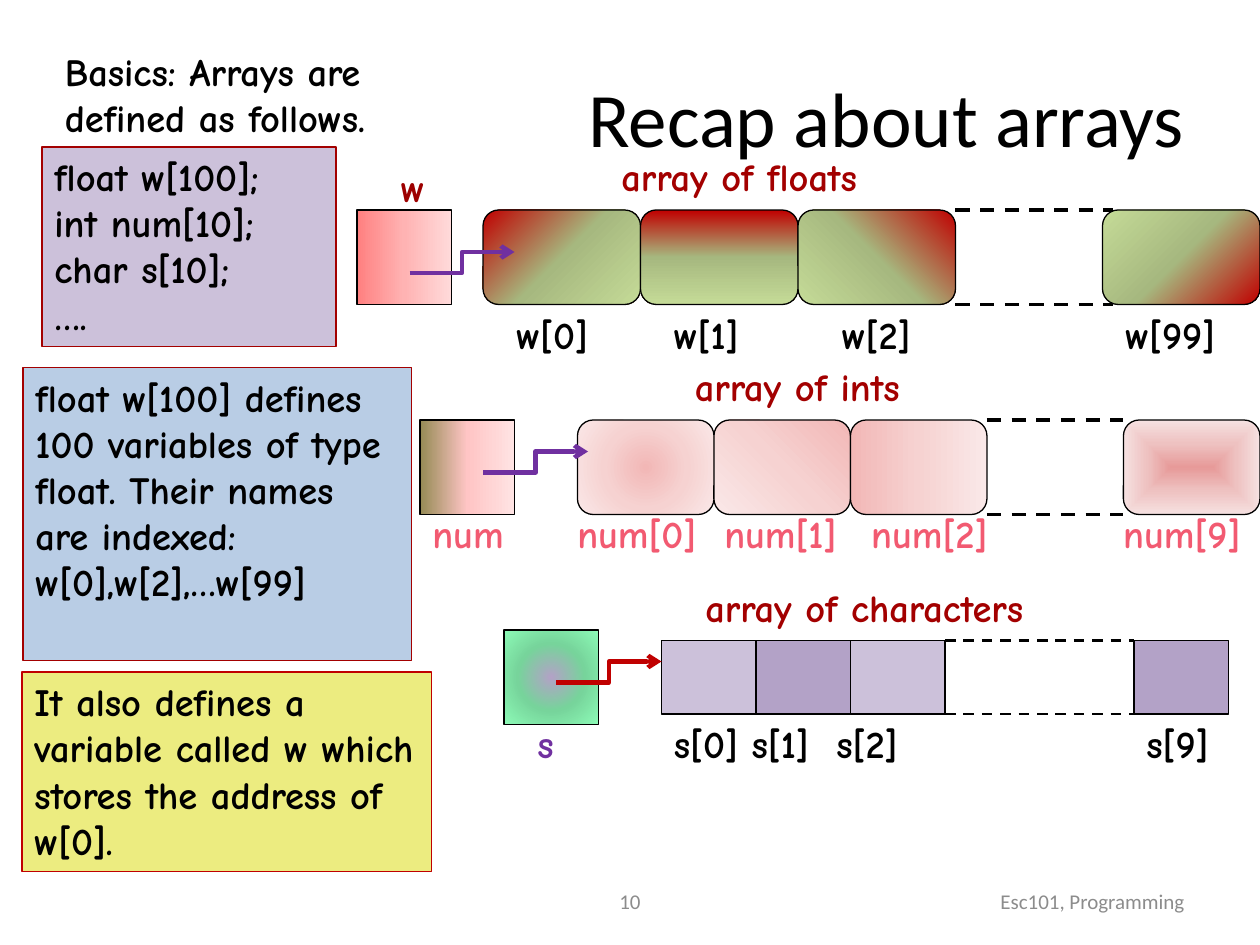
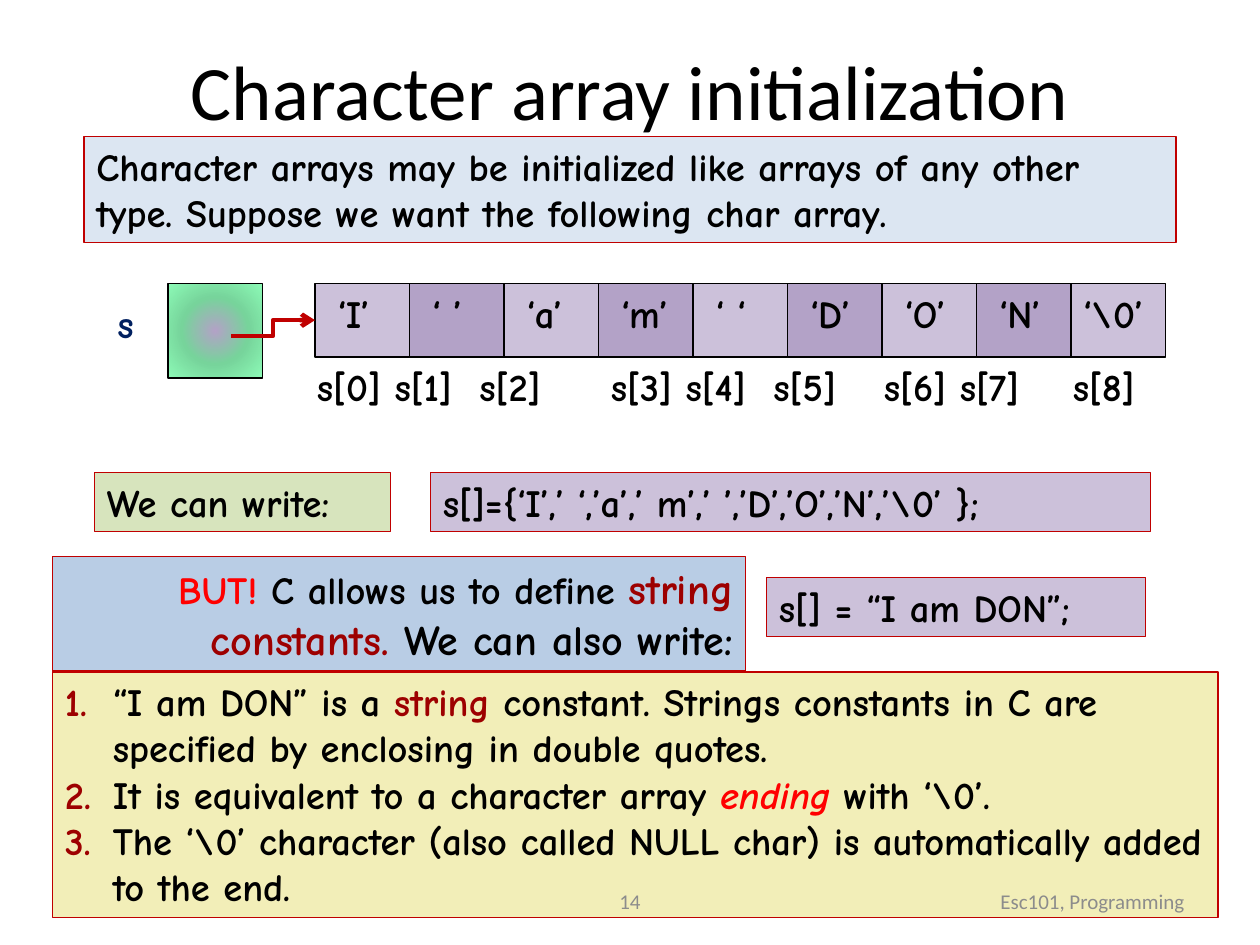
from dataclasses import dataclass

from lxml.etree import SubElement
from pptx import Presentation
from pptx.dml.color import RGBColor
from pptx.enum.dml import MSO_LINE
from pptx.enum.shapes import MSO_CONNECTOR, MSO_SHAPE
from pptx.enum.text import MSO_ANCHOR, MSO_AUTO_SIZE, PP_ALIGN
from pptx.oxml.ns import qn
from pptx.util import Inches, Pt


@dataclass(frozen=True)
class Theme:
    """Colours, fonts and type sizes shared by the slides."""
    black: str = "000000"
    gray: str = "8C8C8C"
    wine: str = "A30000"
    maroon: str = "9D0000"
    crimson: str = "C00000"
    red: str = "FF0000"
    purple: str = "7030A0"
    navy: str = "002060"
    rose: str = "F25A71"
    lilac: str = "CCC1DA"
    mauve: str = "B3A2C7"
    blue: str = "B9CDE5"
    pale: str = "DCE6F2"
    lime: str = "D7E4BD"
    yellow: str = "ECEC80"
    cream: str = "F2EEB8"
    olive: tuple = ("C00000", "A6B87F", "C5DB97")
    blush: tuple = ("F2B7B6", "F6D2D1", "FAE8E8")
    coral: tuple = ("E79A99", "EEC2C1", "F6E1E1")
    pink: tuple = ("FF8080", "FFB3B3", "FFDADA")
    khaki: tuple = ("948A54", "FFC5C5", "FFE3E3")
    mint: tuple = ("B3A2C7", "77D49B", "8DFBB7")
    head: str = "Calibri"
    body: str = "Comic Neue"
    title: int = 44
    large: int = 24
    text: int = 22
    foot: int = 12


T = Theme()
WIDTH, HEIGHT = Inches(10), Inches(7.5)
COLS = 120
LINE = 5.64
BOX = 9
CENTER = (50, 50, 50, 50)
CORNER = (100, 100, 0, 0)


def grid(*cells):
    """Turn grid columns or rows into slide lengths."""
    return [round(WIDTH * n / COLS) for n in cells]


def rgb(ink):
    """Make a colour from its hex form."""
    return RGBColor.from_string(ink)


def node(parent, tag, **attrs):
    """Add one XML child with attributes."""
    return SubElement(parent, qn(tag), {k: str(v) for k, v in attrs.items()})


def blend(shape, inks, turn=None, focus=None, path="circle"):
    """Fill a shape with a linear (turn) or path (focus) gradient."""
    shape.fill.background()
    props = shape.fill._xPr
    fill = node(props, "a:gradFill", rotWithShape=1)
    stops = node(fill, "a:gsLst")
    for i, ink in enumerate(inks):
        node(node(stops, "a:gs", pos=i * 50000), "a:srgbClr", val=ink)
    if focus:
        sides = dict(zip("ltrb", (n * 1000 for n in focus)))
        node(node(fill, "a:path", path=path), "a:fillToRect", **sides)
    else:
        node(fill, "a:lin", ang=turn * 60000, scaled=0)
    props.replace(props.find(qn("a:noFill")), fill)


def block(page, box, fill, edge=T.black, kind=MSO_SHAPE.RECTANGLE):
    """Draw an outlined shape; fill is a colour or gradient settings."""
    shape = page.shapes.add_shape(kind, *grid(*box))
    shape.shadow.inherit = False
    shape.line.color.rgb = rgb(edge)
    shape.line.width = Pt(0.75)
    if isinstance(fill, dict):
        blend(shape, **fill)
    else:
        shape.fill.solid()
        shape.fill.fore_color.rgb = rgb(fill)
    return shape


def number(para):
    """Give a paragraph a coloured automatic number."""
    props = para._p.get_or_add_pPr()
    props.set("marL", str(Inches(0.38)))
    props.set("indent", str(-Inches(0.38)))
    node(node(props, "a:buClr"), "a:srgbClr", val=T.maroon)
    node(props, "a:buFont", typeface="+mj-lt")
    node(props, "a:buAutoNum", type="arabicPeriod")


def write(frame, paras, ink=T.black, face=T.body, size=T.text,
          align=PP_ALIGN.LEFT, listed=False, tab=None):
    """Write paragraphs, each a string or a list of (text, changes)."""
    for i, parts in enumerate(paras):
        para = frame.paragraphs[0] if i == 0 else frame.add_paragraph()
        para.alignment = align
        if listed:
            number(para)
        if tab:
            stops = node(para._p.get_or_add_pPr(), "a:tabLst")
            node(stops, "a:tab", pos=Inches(tab), algn="l")
        font = para.font
        font.name, font.size, font.bold = face, Pt(size), face == T.body
        font.color.rgb = rgb(ink)
        for text, changes in [(parts, {})] if isinstance(parts, str) else parts:
            run = para.add_run()
            run.text = text
            if "ink" in changes:
                run.font.color.rgb = rgb(changes["ink"])
            if "size" in changes:
                run.font.size = Pt(changes["size"])
            if "italic" in changes:
                run.font.italic = changes["italic"]


def panel(page, box, fill, paras, edge=T.crimson, **style):
    """Draw a filled box of text."""
    frame = block(page, box, fill, edge).text_frame
    frame.word_wrap = True
    frame.vertical_anchor = MSO_ANCHOR.TOP
    write(frame, paras, **style)


def plain(page, box, paras, anchor=MSO_ANCHOR.MIDDLE, **style):
    """Place wrapped text without a fill."""
    frame = page.shapes.add_textbox(*grid(*box)).text_frame
    frame.word_wrap = True
    frame.vertical_anchor = anchor
    write(frame, paras, **style)


def label(page, x, y, wide, text, ink=T.black, tab=None):
    """Place a one-line label that fits its text."""
    frame = page.shapes.add_textbox(*grid(x, y, wide, LINE)).text_frame
    frame.word_wrap = False
    frame.auto_size = MSO_AUTO_SIZE.SHAPE_TO_FIT_TEXT
    write(frame, [text], ink, tab=tab)


def line(page, ends, ink, width, kind=MSO_CONNECTOR.STRAIGHT):
    """Draw a connector without a shadow."""
    link = page.shapes.add_connector(kind, *grid(*ends))
    link.line.color.rgb = rgb(ink)
    link.line.width = Pt(width)
    node(link._element.spPr, "a:effectLst")
    return link


def pointer(page, x, y, fill, start, move, ink):
    """Draw a variable's square and the bent arrow leaving it."""
    block(page, (x, y, BOX, BOX), fill)
    left, top = x + start[0], y + start[1]
    ends = (left, top, left + move[0], top + move[1])
    arrow = line(page, ends, ink, 2.5, MSO_CONNECTOR.ELBOW)
    node(arrow.line._get_or_add_ln(), "a:tailEnd", type="arrow")


def array(page, box, fills, gap=0, over=0, width=2, kind=MSO_SHAPE.RECTANGLE):
    """Draw touching cells, the last set apart by a dashed gap."""
    x, y, wide, high = box
    last = len(fills) - 1
    for i, fill in enumerate(fills):
        left = x + i * wide + (gap if i == last else 0)
        block(page, (left, y, wide, high), fill, kind=kind)
    if gap:
        start = x + last * wide
        for level in (y, y + high):
            ends = (start, level, start + gap + over, level)
            line(page, ends, T.black, width).line.dash_style = MSO_LINE.DASH


def floats(page, x, y):
    """Draw the float array w."""
    fills = [dict(inks=T.olive, turn=turn) for turn in (45, 90, 135)]
    fills.append(dict(inks=T.olive, focus=CORNER))
    array(page, (x + 12, y, 15, 9), fills, 14, 1,
          kind=MSO_SHAPE.ROUNDED_RECTANGLE)
    pointer(page, x, y, dict(inks=T.pink, turn=0), (5, 6), (10, -2), T.purple)
    label(page, x + 3, y - 5, 4.9, "w", T.maroon)
    label(page, x + 24, y - 6, 29.6, "array of floats", T.wine)
    for left, index, wide in ((14, 0, 10), (29, 1, 10), (45, 2, 10), (72, 99, 12.2)):
        label(page, x + left, y + 9, wide, f"w[{index}]")


def ints(page, x, y):
    """Draw the int array num."""
    fills = [dict(inks=T.blush, focus=CENTER), dict(inks=T.blush, turn=135),
             dict(inks=T.blush, turn=0),
             dict(inks=T.coral, focus=CENTER, path="rect")]
    array(page, (x + 15, y, 13, 9), fills, 13,
          kind=MSO_SHAPE.ROUNDED_RECTANGLE)
    pointer(page, x, y, dict(inks=T.khaki, turn=0), (6, 5), (10, -2), T.purple)
    label(page, x + 25, y - 6, 25.7, "array of ints", T.wine)
    label(page, x, y + 8, 9.6, "num", T.rose)
    for left, index in ((13.8, 0), (27.8, 1), (41.8, 2), (65.8, 9)):
        label(page, x + left, y + 8, 14.2, f"num[{index}]", T.rose)


def trio(page, x, y, first):
    """Label three neighbouring character cells."""
    text = f"s[{first}] s[{first + 1}]\ts[{first + 2}]"
    label(page, x, y, 31, text, tab=1.29)


def chars(page, x, y):
    """Draw the character array s."""
    array(page, (x + 15, y + 1, 9, 7), [T.lilac, T.mauve] * 2, 18, width=1.5)
    pointer(page, x, y, dict(inks=T.mint, focus=CENTER), (5, 5), (10, -2), T.crimson)
    label(page, x + 2, y + 8, 4.2, "s", T.purple)
    label(page, x + 18, y - 5, 38.4, "array of characters", T.wine)
    trio(page, x + 15, y + 8, 0)
    label(page, x + 60, y + 8, 9.2, "s[9]")


def letters(page, x, y):
    """Draw the character array with a letter in each cell."""
    signs = ("‘I’", "‘ ’", "‘a’", "‘m’", "‘ ‘", "‘D’", "‘O’", "‘N’", "‘\\0’")
    wides = (6.1, 5.8, 6.1, 7, 5.8, 6.7, 7.1, 7.1, 8.4)
    fills = [(T.lilac, T.mauve)[i % 2] for i in range(len(signs))]
    array(page, (x + 14, y, 9, 7), fills)
    pointer(page, x, y, dict(inks=T.mint, focus=CENTER), (6, 5), (8, -1.5), T.crimson)
    label(page, x - 6, y + 1, 4.2, "s", T.navy)
    for i, (sign, wide) in enumerate(zip(signs, wides)):
        inset = 0 if i == len(signs) - 1 else 1
        label(page, x + 14 + 9 * i + inset, y, wide, sign)
    trio(page, x + 13, y + 7, 0)
    trio(page, x + 41, y + 7, 3)
    label(page, x + 67, y + 7, 19.3, "s[6] s[7]")
    label(page, x + 85, y + 7, 10.8, "s[8]")


def title(page, top, text, align):
    """Place the slide title."""
    plain(page, (6, top, 108, 15), [text], face=T.head, size=T.title, align=align)


def footer(page, count):
    """Place the course name and page number."""
    style = dict(ink=T.gray, face=T.head, size=T.foot)
    plain(page, (86, 83.4, 28, 4.8), ["Esc101, Programming"],
          align=PP_ALIGN.RIGHT, **style)
    plain(page, (41, 83.4, 38, 4.8), [str(count)], align=PP_ALIGN.CENTER, **style)


def recap(page):
    """Build the slide on array basics."""
    title(page, 3.6, "Recap about arrays", PP_ALIGN.RIGHT)
    plain(page, (5, 4, 40, 10), ["Basics: Arrays are", "defined as follows."],
          MSO_ANCHOR.TOP)
    panel(page, (4, 14, 28, 19), T.lilac,
          ["float w[100];", "int num[10];", "char s[10];", "…."], T.wine)
    panel(page, (2.2, 35, 37, 27.9), T.blue,
          ["float w[100] defines 100 variables of type float. "
           "Their names are indexed: w[0],w[2],…w[99]"], T.wine)
    panel(page, (2.1, 64, 39, 19), T.yellow,
          ["It also defines a variable called w which stores the address of w[0]."])
    floats(page, 34, 20)
    ints(page, 40, 40)
    chars(page, 48, 60)
    footer(page, 10)


def setup(page):
    """Build the slide on character array initialization."""
    title(page, 1, "Character array initialization", PP_ALIGN.CENTER)
    panel(page, (8, 13, 104, 10.1), T.pale,
          ["Character arrays may be initialized like arrays of any other type. "
           "Suppose we want the following char array."])
    letters(page, 16, 27)
    panel(page, (9, 45, 28.2, LINE), T.lime, ["We can write:"])
    panel(page, (41, 45, 68.6, LINE), T.lilac,
          ["s[]={‘I’,’ ‘,’a’,’ m’,’ ’,’D’,’O’,’N’,’\\0’ };"])
    big = dict(size=T.large)
    panel(page, (5, 53, 66, 10.9), T.blue,
          [[("BUT! ", dict(ink=T.red)), ("C allows us to define ", {}),
            ("string constants. ", dict(ink=T.maroon, **big)),
            ("We can also write:", big)]], align=PP_ALIGN.RIGHT)
    panel(page, (73, 55, 36.1, LINE), T.lilac, ["s[] = “I am DON”;"])
    panel(page, (5, 64, 111, 23.4), T.cream, [
        [("“I am DON” is a ", {}), ("string", dict(ink=T.maroon)),
         (" constant. Strings constants in C are specified by "
          "enclosing in double quotes.", {})],
        [("It is equivalent to a character array ", {}),
         ("ending", dict(ink=T.red, italic=True)), (" with ‘\\0’.", {})],
        "The ‘\\0’ character (also called NULL char) is automatically "
        "added to the end."], listed=True)
    footer(page, 14)


def main():
    """Build and save the slides."""
    deck = Presentation()
    deck.slide_width, deck.slide_height = WIDTH, HEIGHT
    for build in (recap, setup):
        build(deck.slides.add_slide(deck.slide_layouts[6]))
    deck.save("out.pptx")


if __name__ == "__main__":
    main()
